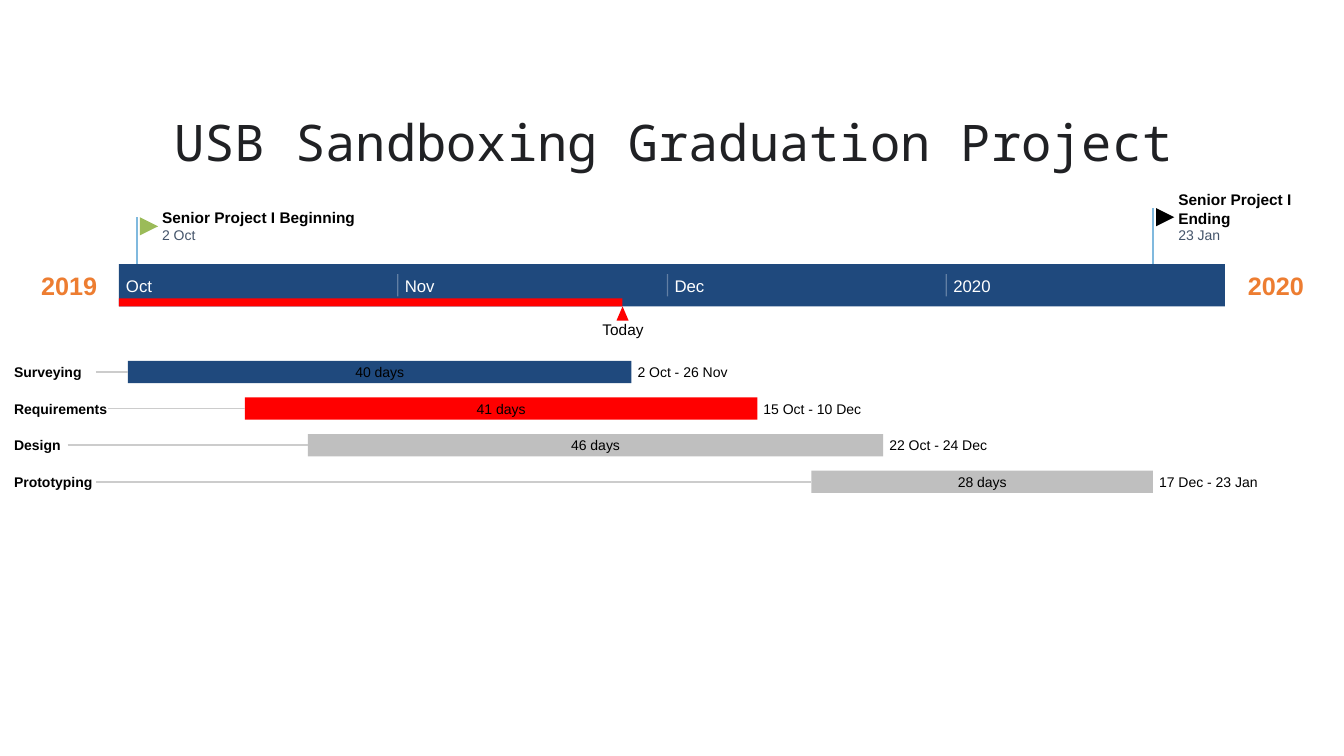
from dataclasses import dataclass

from lxml import etree
from pptx import Presentation
from pptx.dml.color import RGBColor
from pptx.enum.shapes import MSO_CONNECTOR, MSO_SHAPE
from pptx.enum.text import MSO_ANCHOR, MSO_AUTO_SIZE, PP_ALIGN
from pptx.oxml.ns import qn
from pptx.util import Inches, Pt

LEFT, CENTER = PP_ALIGN.LEFT, PP_ALIGN.CENTER
MIDDLE, TOP = MSO_ANCHOR.MIDDLE, MSO_ANCHOR.TOP
RECTANGLE = MSO_SHAPE.RECTANGLE
TRIANGLE = MSO_SHAPE.ISOSCELES_TRIANGLE
FLAG = MSO_SHAPE.FLOWCHART_MERGE
STRAIGHT = MSO_CONNECTOR.STRAIGHT
LEFT_SIDE = 1


@dataclass(frozen=True)
class Theme:
    title_font: str = "Noto Sans Mono"
    body_font: str = "Arial"
    title_size: int = 36
    year_size: int = 18
    month_size: int = 12
    label_size: int = 11
    detail_size: int = 10
    title: str = "202124"
    year: str = "ED7D31"
    text: str = "000000"
    date: str = "44546A"
    white: str = "FFFFFF"
    navy: str = "1F497D"
    red: str = "FF0000"
    gray: str = "BFBFBF"
    green: str = "9BBB59"
    stem: str = "80B9DE"
    leader: str = "CCCCCC"


THEME = Theme()

# Content: days are counted from 1 October 2019
TITLE = "USB Sandboxing Graduation Project"
YEARS = [("2019", 0.35), ("2020", 12.32)]
MONTHS = [("Oct", 0), ("Nov", 31), ("Dec", 61), ("2020", 92)]
TOTAL_DAYS = 123
TODAY = 56
# text, date, day, lines of text, text width, flag colour
MILESTONES = [
    ("Senior Project I Beginning", "2 Oct", 2, 1, 2.0, THEME.green),
    ("Senior Project I Ending", "23 Jan", 115, 2, 1.19, THEME.text),
]
# name, name width, first day, last day, duration, dates, bar colour
TASKS = [
    ("Surveying", 0.81, 1, 57, "40 days", "2 Oct - 26 Nov", THEME.navy),
    ("Requirements", 0.93, 14, 71, "41 days", "15 Oct - 10 Dec", THEME.red),
    ("Design", 0.53, 21, 85, "46 days", "22 Oct - 24 Dec", THEME.gray),
    ("Prototyping", 0.81, 77, 115, "28 days", "17 Dec - 23 Jan", THEME.gray),
]

# Layout in inches
AXIS_LEFT, AXIS_TOP, AXIS_WIDTH, AXIS_HEIGHT = 1.18, 2.62, 10.97, 0.42
AXIS_BOTTOM = AXIS_TOP + AXIS_HEIGHT
PROGRESS_HEIGHT = 0.08
FLAG_SIZE = 0.18
DATE_TOP, LINE_HEIGHT, DETAIL_HEIGHT = 2.25, 0.18, 0.17
TASK_LEFT, TASK_TOP, TASK_HEIGHT, TASK_PITCH = 0.14, 3.58, 0.22, 1.09 / 3

presentation = Presentation()
presentation.slide_width, presentation.slide_height = Inches(13.33), Inches(7.5)
slide = presentation.slides.add_slide(presentation.slide_layouts[5])


def day_x(day):
    return AXIS_LEFT + day * AXIS_WIDTH / TOTAL_DAYS


def write(shape, text, size, color, bold=False, align=LEFT, anchor=MIDDLE,
          font_name=THEME.body_font):
    frame = shape.text_frame
    frame.word_wrap = True
    frame.auto_size = MSO_AUTO_SIZE.NONE
    frame.vertical_anchor = anchor
    frame.margin_left = frame.margin_right = 0
    frame.margin_top = frame.margin_bottom = 0
    frame.text = text
    paragraph = frame.paragraphs[0]
    paragraph.alignment = align
    font = paragraph.font
    font.name, font.size, font.bold = font_name, Pt(size), bold
    font.color.rgb = RGBColor.from_string(color)


def add_label(text, left, top, width, height, size, color, **style):
    box = slide.shapes.add_textbox(*map(Inches, (left, top, width, height)))
    write(box, text, size, color, **style)


def add_block(kind, left, top, width, height, color):
    shape = slide.shapes.add_shape(kind, *map(Inches, (left, top, width, height)))
    shape.shadow.inherit = False
    shape.fill.solid()
    shape.fill.fore_color.rgb = RGBColor.from_string(color)
    shape.line.fill.background()
    return shape


def add_line(x1, y1, x2, y2, color, opacity=100):
    line = slide.shapes.add_connector(STRAIGHT, *map(Inches, (x1, y1, x2, y2)))
    line.line.width = Pt(1)
    line.line.color.rgb = RGBColor.from_string(color)
    properties = line._element.spPr
    if opacity < 100:
        fill = properties.find(".//" + qn("a:srgbClr"))
        etree.SubElement(fill, qn("a:alpha")).set("val", str(opacity * 1000))
    etree.SubElement(properties, qn("a:effectLst"))
    return line


# Title
title = slide.shapes.title
title.left, title.top = Inches(1.68), Inches(1.1)
title.width, title.height = Inches(10), Inches(0.5)
write(title, TITLE, THEME.title_size, THEME.title, align=CENTER, anchor=TOP,
      font_name=THEME.title_font)

# Time axis with years, progress and today's marker
for year, left in YEARS:
    add_label(year, left, 2.69, 0.67, 0.29, THEME.year_size, THEME.year,
              bold=True, align=CENTER)
add_block(RECTANGLE, AXIS_LEFT, AXIS_TOP, AXIS_WIDTH, AXIS_HEIGHT, THEME.navy)
today_x = day_x(TODAY)
add_block(RECTANGLE, AXIS_LEFT, AXIS_BOTTOM - PROGRESS_HEIGHT,
          today_x - AXIS_LEFT, PROGRESS_HEIGHT, THEME.red)
add_block(TRIANGLE, today_x - 0.06, AXIS_BOTTOM, 0.12, 0.14, THEME.red)
add_label("Today", today_x - 0.26, 3.18, 0.53, 0.18, THEME.label_size,
          THEME.text, align=CENTER)

# Months, with a divider before each but the first
for month, day in MONTHS:
    x = day_x(day)
    if day:
        add_line(x, 2.72, x, 2.94, THEME.white, opacity=30)
    add_label(month, x + 0.07, 2.74, 0.4, 0.19, THEME.month_size, THEME.white)

# Milestones: each flag is centred on its text
for text, date, day, lines, width, color in MILESTONES:
    x = day_x(day)
    text_top = DATE_TOP - lines * LINE_HEIGHT
    flag_top = (text_top + DATE_TOP + DETAIL_HEIGHT - FLAG_SIZE) / 2
    add_line(x, flag_top, x, AXIS_TOP, THEME.stem)
    flag = add_block(FLAG, x + 0.03, flag_top, FLAG_SIZE, FLAG_SIZE, color)
    flag.rotation = 270
    add_label(text, x + 0.25, text_top, width, lines * LINE_HEIGHT,
              THEME.label_size, THEME.text, bold=True)
    add_label(date, x + 0.25, DATE_TOP, 0.53, DETAIL_HEIGHT,
              THEME.detail_size, THEME.date)

# Task rows
for row, (name, name_width, first, last, duration, dates, color) in enumerate(TASKS):
    top = TASK_TOP + row * TASK_PITCH
    middle = top + TASK_HEIGHT / 2
    label_top = middle - DETAIL_HEIGHT / 2
    start, end = day_x(first), day_x(last)
    bar = add_block(RECTANGLE, start, top, end - start, TASK_HEIGHT, color)
    write(bar, duration, THEME.detail_size, THEME.text, align=CENTER)
    leader = add_line(TASK_LEFT + name_width, middle, start, middle, THEME.leader)
    leader.end_connect(bar, LEFT_SIDE)
    add_label(name, TASK_LEFT, label_top, 1.1, DETAIL_HEIGHT,
              THEME.detail_size, THEME.text, bold=True)
    add_label(dates, end + 0.06, label_top, 1.07, DETAIL_HEIGHT,
              THEME.detail_size, THEME.text)

presentation.save("out.pptx")
